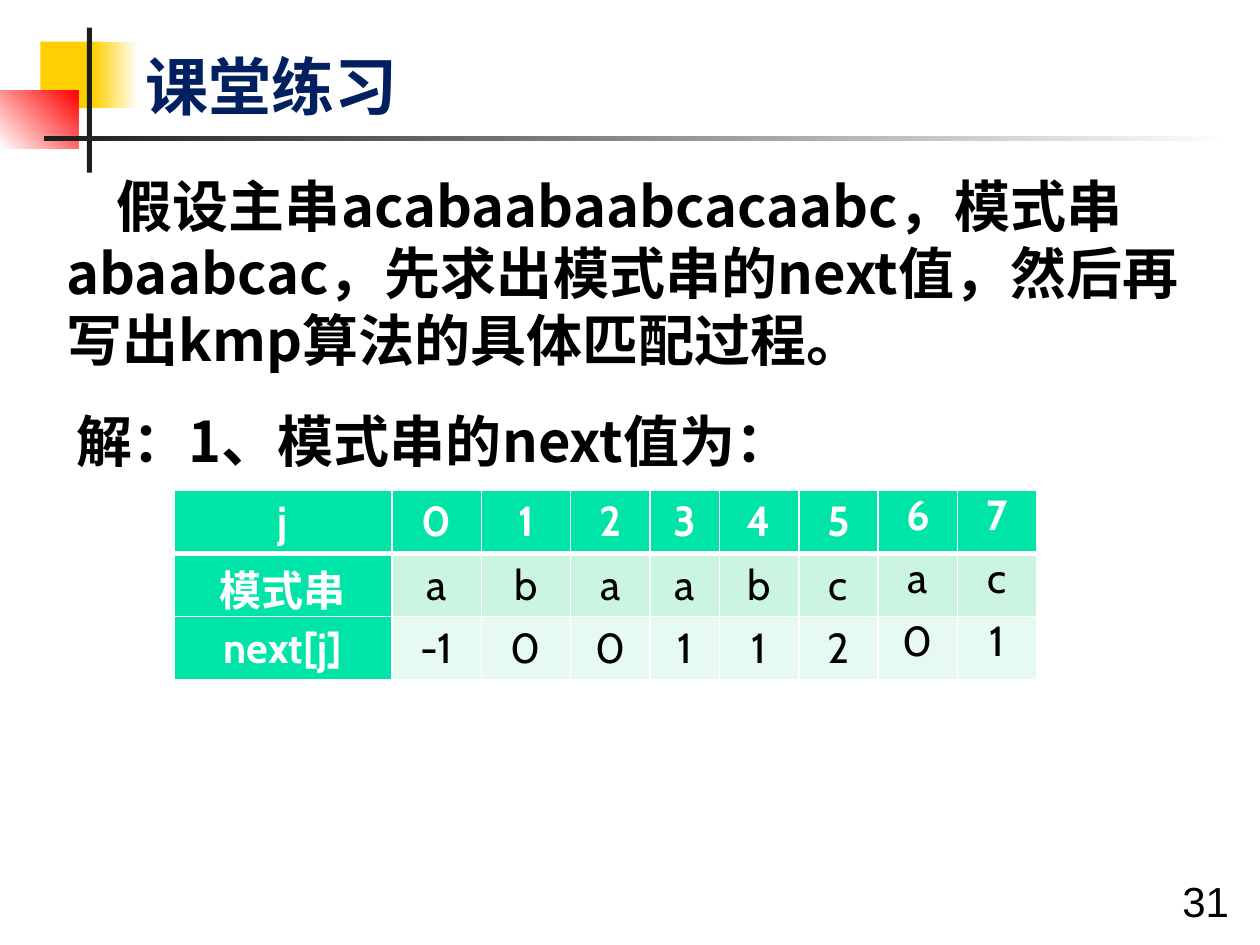
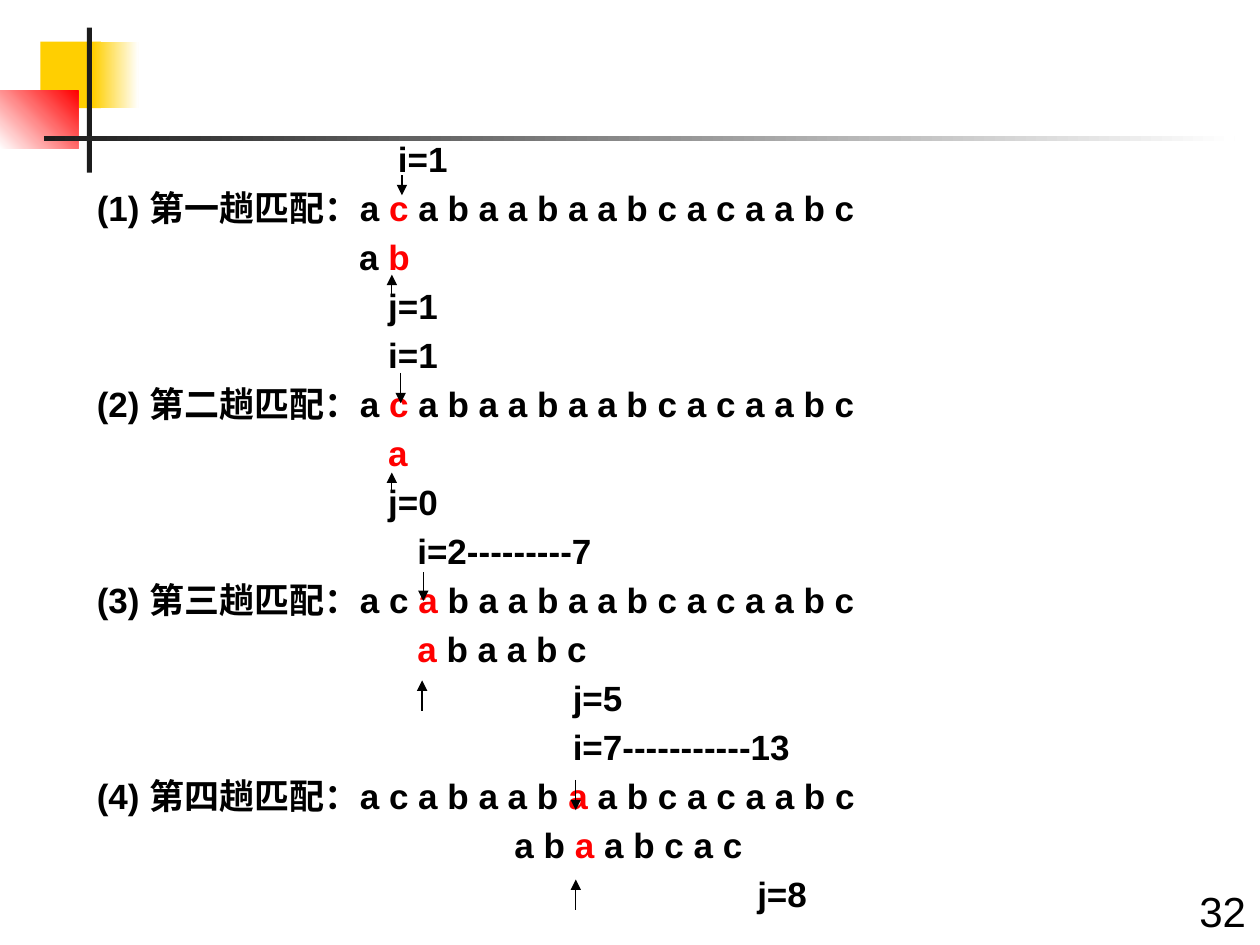
from lxml import etree
from pptx import Presentation
from pptx.dml.color import RGBColor
from pptx.enum.shapes import MSO_CONNECTOR, MSO_SHAPE
from pptx.enum.text import PP_ALIGN
from pptx.oxml.ns import qn
from pptx.util import Pt

RECTANGLE = MSO_SHAPE.RECTANGLE
STRAIGHT = MSO_CONNECTOR.STRAIGHT
CENTER = PP_ALIGN.CENTER
LEFT = PP_ALIGN.LEFT

BLACK, WHITE, RED = "000000", "FFFFFF", "FF0000"
YELLOW, CHARCOAL, NAVY = "FFCF01", "1C1C1C", "002060"
GREEN, MINT, PALE_MINT = "00E4A8", "CCF5E1", "E7FAF1"
SANS, CHINESE, TABLE_FONT = "Arial", "Noto Sans CJK SC", "Cabin"

deck = Presentation()
deck.slide_width = Pt(720)
deck.slide_height = Pt(540)
COLUMN = deck.slide_width / 10


def grid(*cells):
    return [round(cell * COLUMN) for cell in cells]


def style(para, size, font, color, bold=True, align=LEFT):
    para.alignment = align
    for span in para.runs:
        span.font.size = Pt(size)
        span.font.bold = bold
        span.font.name = font
        span.font.color.rgb = RGBColor.from_string(color)
        east_asian = etree.SubElement(span._r.get_or_add_rPr(), qn("a:ea"))
        east_asian.set("typeface", font)


ornaments = [
    ((0.32, 0.33, 0.48, 0.53), YELLOW, YELLOW, 0),
    ((0.74, 0.33, 0.36, 0.53), YELLOW, WHITE, 0),
    ((0, 0.72, 0.62, 0.46), WHITE, RED, 45),
    ((0.69, 0.22, 0.04, 1.15), CHARCOAL, CHARCOAL, 0),
    ((0.35, 1.08, 9.45, 0.04), CHARCOAL, WHITE, 0),
]
numbers = [("31", (9.12, 6.9, 0.9, 0.47)), ("32", (8.54, 6.98, 2.33, 0.52))]

pages = []
for number, place in numbers:
    page = deck.slides.add_slide(deck.slide_layouts[6])
    pages.append(page)
    for area, start, end, angle in ornaments:
        ornament = page.shapes.add_shape(RECTANGLE, *grid(*area))
        ornament.shadow.inherit = False
        ornament.line.fill.background()
        if start == end:
            ornament.fill.solid()
            ornament.fill.fore_color.rgb = RGBColor.from_string(start)
        else:
            ornament.fill.gradient()
            ornament.fill.gradient_angle = angle
            for stop, color in zip(ornament.fill.gradient_stops, (start, end)):
                stop.color.rgb = RGBColor.from_string(color)
    box = page.shapes.add_textbox(*grid(*place))
    box.text_frame.word_wrap = True
    box.text_frame.text = number
    style(box.text_frame.paragraphs[0], 24, SANS, BLACK, False, CENTER)

exercise, matching = pages

texts = [
    ("课堂练习", (1.06, 0.33, 2.44, 0.71), 36, SANS, NAVY, None, 0),
    ("假设主串acabaabaabcacaabc，模式串abaabcac，先求出模式串的next值，"
     "然后再写出kmp算法的具体匹配过程。",
     (0.43, 1.31, 9.13, 1.72), 32, CHINESE, BLACK, 38.3, 0.4),
    ("解：1、模式串的next值为：", (0.51, 3.18, 8.39, 0.64), 32, CHINESE, BLACK, 38.3, 0),
]
for text, place, size, font, color, spacing, indent in texts:
    box = exercise.shapes.add_textbox(*grid(*place))
    box.text_frame.word_wrap = True
    box.text_frame.text = text
    para = box.text_frame.paragraphs[0]
    if spacing:
        para.line_spacing = Pt(spacing)
    if indent:
        para._p.get_or_add_pPr().set("indent", str(grid(indent)[0]))
    style(para, size, font, color)

next_rows = [
    ["j", "0", "1", "2", "3", "4", "5", "6", "7"],
    ["模式串", "a", "b", "a", "a", "b", "c", "a", "c"],
    ["next[j]", "-1", "0", "0", "1", "1", "2", "0", "1"],
]
column_widths = grid(1.73, 0.71, 0.71, 0.63, 0.55, 0.63, 0.63, 0.63, 0.63)
table = exercise.shapes.add_table(3, 9, *grid(1.38, 3.89, 6.85, 1.5)).table
for column, width in zip(table.columns, column_widths):
    column.width = width
for row, values in enumerate(next_rows):
    for col, value in enumerate(values):
        cell = table.cell(row, col)
        heading = row == 0 or col == 0
        if col > 6:
            cell.margin_left = cell.margin_right = 0
            cell.margin_top = cell.margin_bottom = 0
        if (row, col) == (1, 0):
            cell.margin_top, cell.margin_bottom = grid(0.1, 0)
        cell.text = value
        style(cell.text_frame.paragraphs[0], 24, TABLE_FONT,
              WHITE if heading else BLACK, heading, CENTER)
        properties = cell._tc.get_or_add_tcPr()
        for side in ("lnL", "lnR", "lnT", "lnB"):
            thick = (row, side) in ((0, "lnB"), (1, "lnT"))
            border = etree.SubElement(properties, qn("a:" + side))
            border.set("w", str(Pt(3 if thick else 1)))
            paint = etree.SubElement(border, qn("a:solidFill"))
            etree.SubElement(paint, qn("a:srgbClr")).set("val", WHITE)
        cell.fill.solid()
        cell.fill.fore_color.rgb = RGBColor.from_string(
            GREEN if heading else (MINT, PALE_MINT)[row - 1])

LETTER_STEP = 5.55
trace = [
    (31, "i=1", "", ""),
    (0, "(1) 第一趟匹配：a ", "c", " a b a a b a a b c a c a a b c"),
    (27, "a ", "b", ""),
    (30, "j=1", "", ""),
    (30, "i=1", "", ""),
    (0, "(2) 第二趟匹配：a ", "c", " a b a a b a a b c a c a a b c"),
    (30, "", "a", ""),
    (30, "j=0", "", ""),
    (33, "i=2---------7", "", ""),
    (0, "(3) 第三趟匹配：a c ", "a", " b a a b a a b c a c a a b c"),
    (33, "", "a", " b a a b c"),
    (49, "j=5", "", ""),
    (49, "i=7-----------13", "", ""),
    (0, "(4) 第四趟匹配：a c a b a a b ", "a ", "a b c a c a a b c"),
    (43, "a b ", "a ", "a b c a c"),
    (68, "j=8", "", ""),
]
box = matching.shapes.add_textbox(*grid(0.67, 1.04, 8.39, 6.3))
frame = box.text_frame
frame.word_wrap = True
for line, (steps, before, mismatch, after) in enumerate(trace):
    para = frame.add_paragraph() if line else frame.paragraphs[0]
    para.space_before = Pt(4 if line else 0)
    para._p.get_or_add_pPr().set("marL", str(Pt(steps * LETTER_STEP)))
    for part in filter(None, (before, mismatch, after)):
        para.add_run().text = part
    style(para, 20, SANS, BLACK)
    if mismatch:
        marked = para.runs[1 if before else 0]
        marked.font.color.rgb = RGBColor.from_string(RED)

pointers = [
    (3.19, 1.39, 1.55), (3.18, 2.96, 3.2), (3.36, 4.54, 4.77), (4.57, 6.19, 6.43),
    (3.11, 2.33, 2.18), (3.11, 3.91, 3.75), (3.35, 5.64, 5.4), (4.57, 7.22, 6.98),
]
for x, start, end in pointers:
    arrow = matching.shapes.add_connector(STRAIGHT, *grid(x, start, x, end))
    arrow.line.width = Pt(0.75)
    arrow.line.color.rgb = RGBColor.from_string(BLACK)
    etree.SubElement(arrow.line._get_or_add_ln(), qn("a:tailEnd")).set("type", "triangle")
    etree.SubElement(arrow._element.spPr, qn("a:effectLst"))

deck.save("out.pptx")
